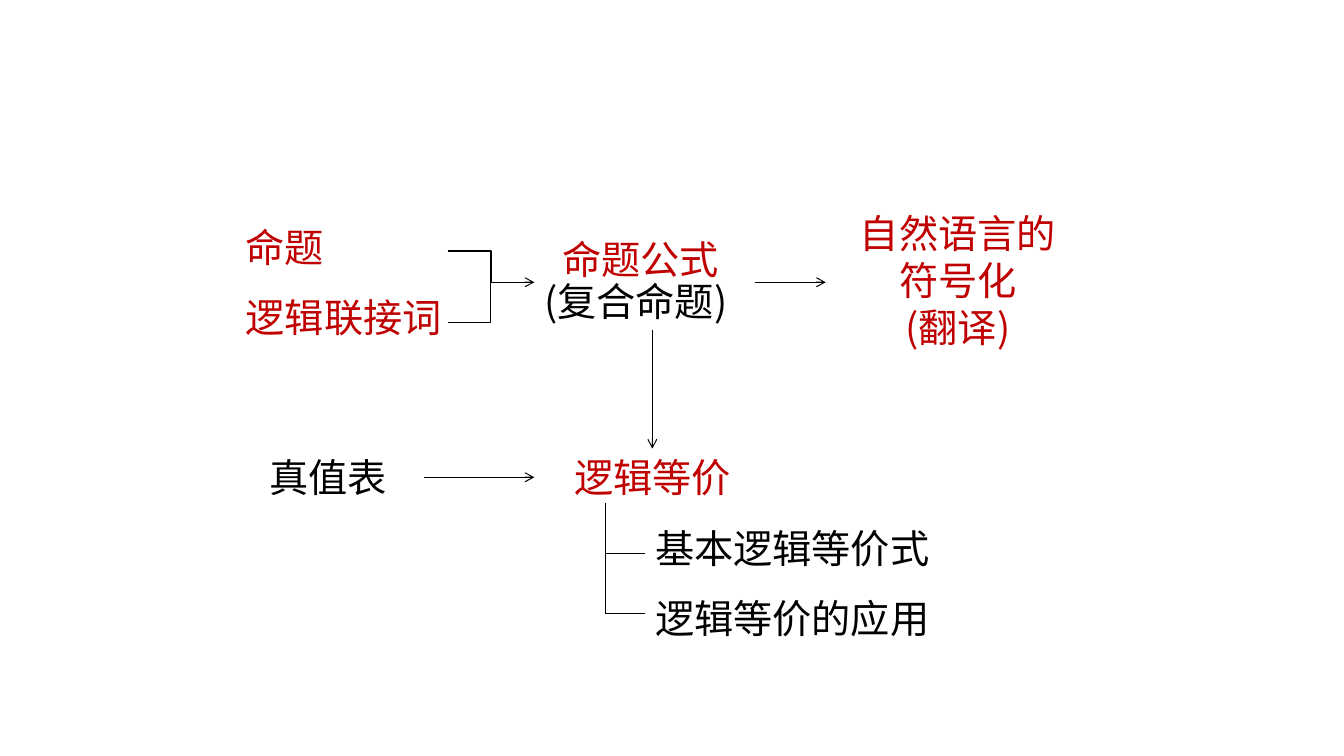
from dataclasses import dataclass
from pptx import Presentation
from pptx.dml.color import RGBColor
from pptx.enum.shapes import MSO_CONNECTOR as Kind
from pptx.enum.text import MSO_AUTO_SIZE as Fit, PP_ALIGN as Align
from pptx.oxml.ns import qn
from pptx.util import Pt
from lxml.etree import SubElement as Sub

PX = 9144


@dataclass(frozen=True)
class Theme:
    key: RGBColor = RGBColor(0xC0, 0, 0)
    ink: RGBColor = RGBColor(0, 0, 0)
    font: str = "Noto Sans CJK SC"
    size: Pt = Pt(28)
    rule: Pt = Pt(0.75)


THEME = Theme()


def label(slide, text, x, y, w, color, align=Align.LEFT, h=57):
    box = slide.shapes.add_textbox(x * PX, y * PX, w * PX, h * PX)
    frame = box.text_frame
    frame.word_wrap = True
    frame.auto_size = Fit.SHAPE_TO_FIT_TEXT
    frame.text = text
    for para in frame.paragraphs:
        para.alignment = align
        for run in para.runs:
            font = run.font
            font.name, font.size = THEME.font, THEME.size
            font.color.rgb = color
            Sub(font._element, qn("a:ea"), typeface=THEME.font)
    return box


def link(slide, x1, y1, x2, y2, arrow=False, kind=Kind.STRAIGHT):
    line = slide.shapes.add_connector(kind, x1 * PX, y1 * PX, x2 * PX, y2 * PX)
    line.line.color.rgb = THEME.ink
    line.line.width = THEME.rule
    if arrow:
        Sub(line.line._get_or_add_ln(), qn("a:tailEnd"), type="arrow")
    Sub(line._element.spPr, qn("a:effectLst"))
    return line


def join(line, start, side, end, stop):
    line.begin_connect(start, side)
    line.end_connect(end, stop)


def chain(slide, x, y):
    for text, top, w in (("命题", 14, 164), ("逻辑联接词", 83, 234)):
        label(slide, text, x, y + top, w, THEME.key)
    label(slide, "命题公式", x + 296, y + 26, 211, THEME.key, Align.CENTER)
    compound = label(slide, "(复合命题)", x + 296, y + 67, 234, THEME.ink)
    label(slide, "自然语言的\n符号化\n(翻译)", x + 570, y, 292,
          THEME.key, Align.CENTER, 151)
    mid = y + 77
    link(slide, x + 210, y + 46, x + 296, mid, True, Kind.ELBOW)
    link(slide, x + 296, mid, x + 210, y + 117, kind=Kind.ELBOW)
    link(slide, x + 515, mid, x + 585, mid, True)
    return compound


def proof(slide, x, y, source):
    table = label(slide, "真值表", x, y, 164, THEME.ink)
    equal = label(slide, "逻辑等价", x + 273, y, 234, THEME.key, Align.CENTER)
    join(link(slide, x + 390, y - 118, x + 390, y, True), source, 2, equal, 0)
    join(link(slide, x + 164, y + 28, x + 273, y + 28, True),
         table, 3, equal, 1)
    stem, leaf = x + 344, x + 383
    link(slide, stem, y + 54, stem, y + 164)
    items = (("基本逻辑等价式", 336, 104), ("逻辑等价的应用", 352, 164))
    for i, (text, w, drop) in enumerate(items, 1):
        label(slide, text, leaf, y + 70 * i, w, THEME.ink)
        link(slide, stem, y + drop, leaf, y + drop)


def main():
    deck = Presentation()
    deck.slide_width, deck.slide_height = 1333 * PX, 750 * PX
    slide = deck.slides.add_slide(deck.slide_layouts[6])
    compound = chain(slide, 234, 203)
    proof(slide, 257, 445, compound)
    deck.save("out.pptx")


if __name__ == "__main__":
    main()
